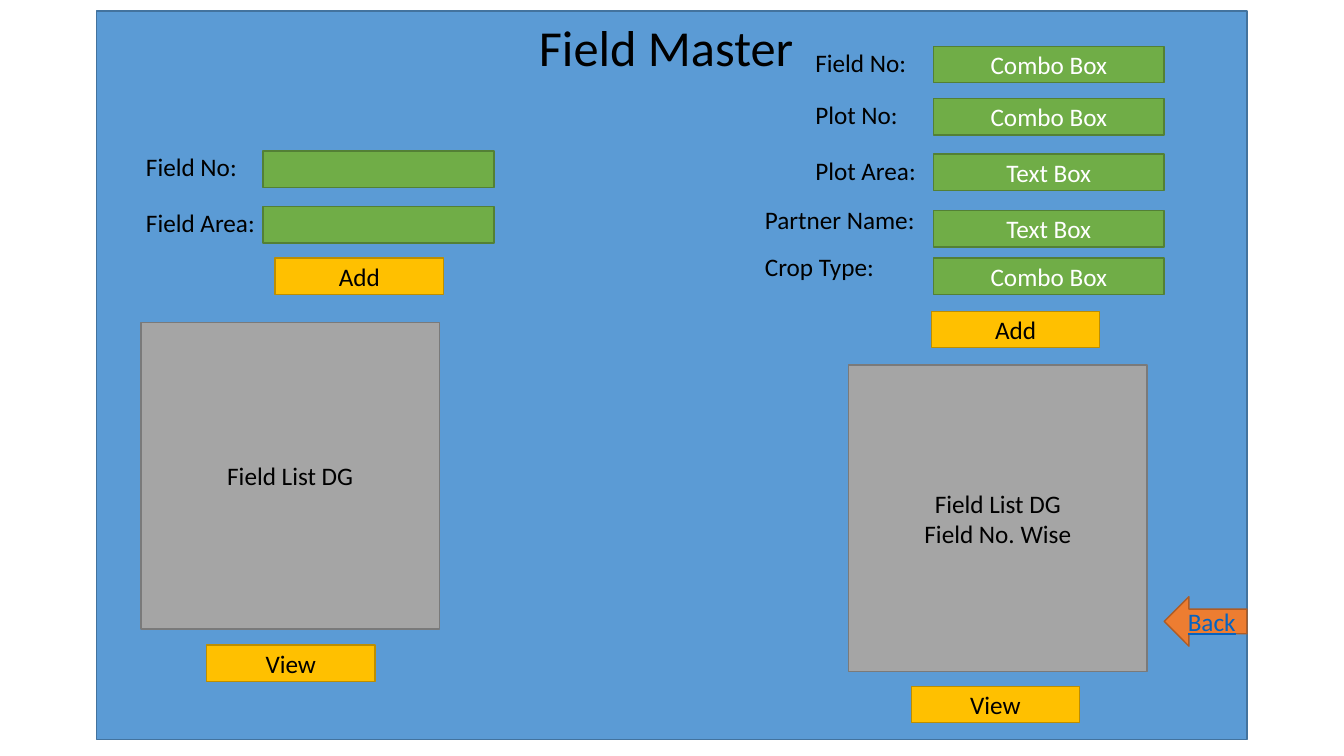
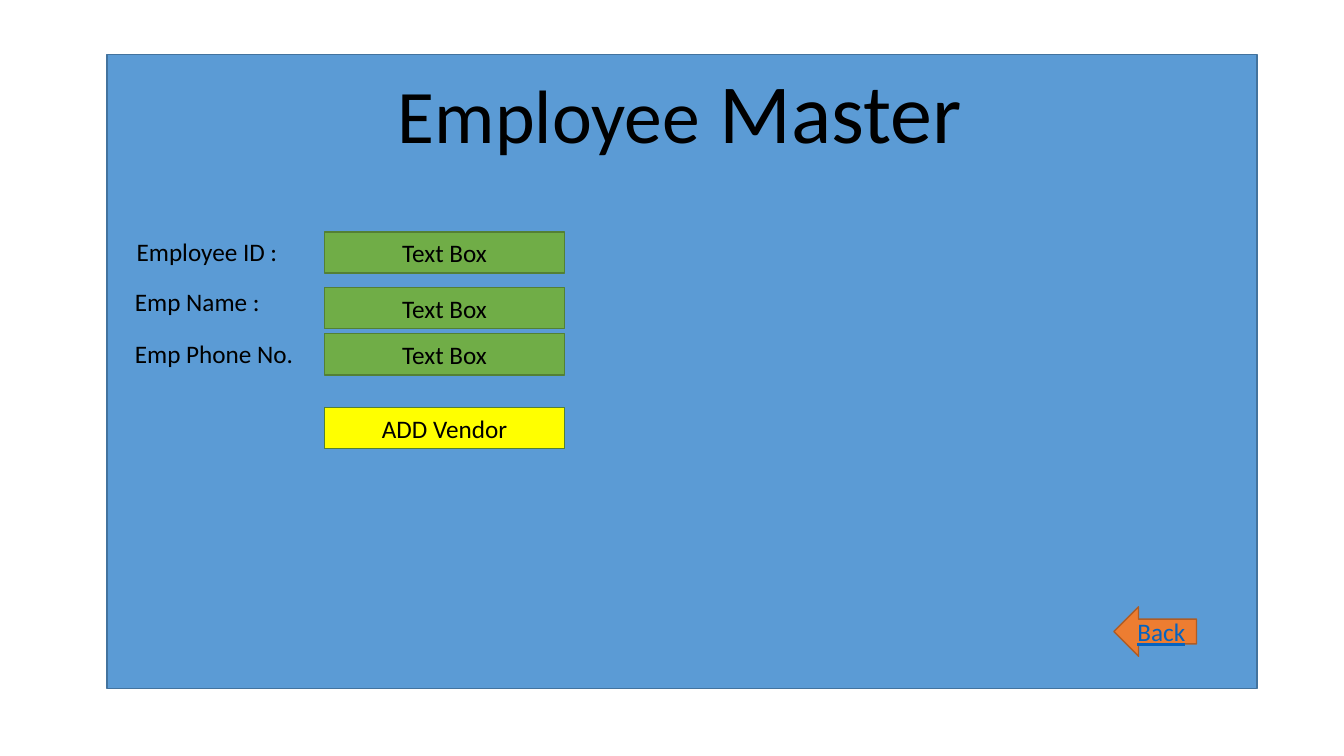
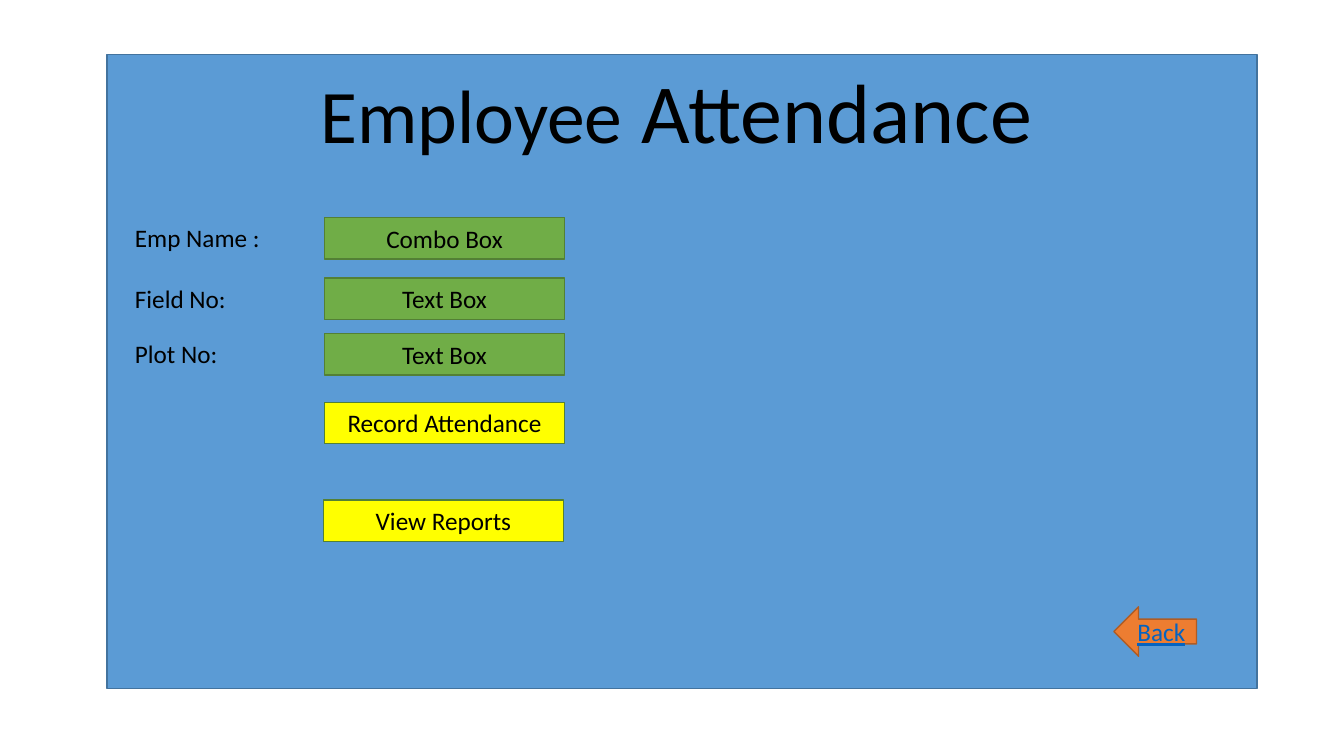
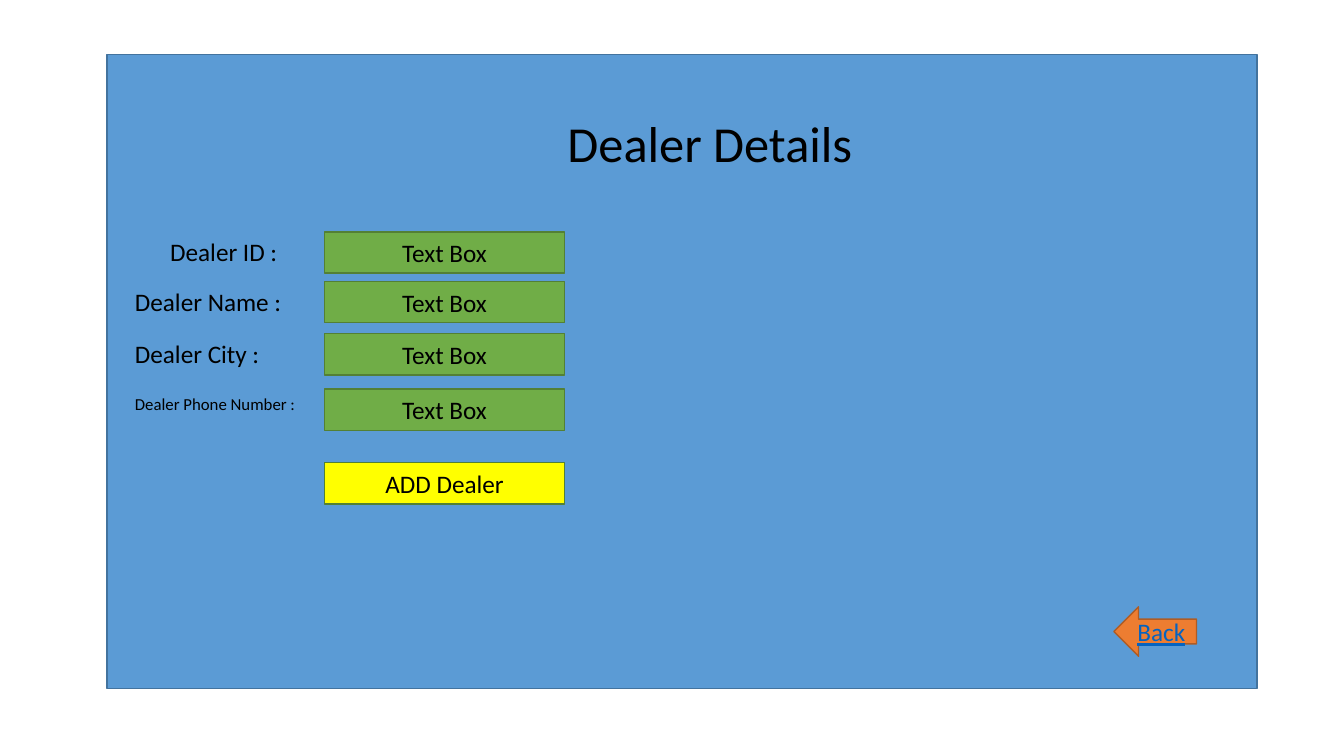
from dataclasses import dataclass

from pptx import Presentation
from pptx.dml.color import RGBColor
from pptx.enum.shapes import MSO_SHAPE
from pptx.enum.text import MSO_ANCHOR, PP_ALIGN
from pptx.presentation import Presentation as Deck
from pptx.slide import Slide
from pptx.text.text import TextFrame
from pptx.util import Pt

RECT, LEFT_ARROW = MSO_SHAPE.RECTANGLE, MSO_SHAPE.LEFT_ARROW
LEFT, CENTER, RIGHT = PP_ALIGN.LEFT, PP_ALIGN.CENTER, PP_ALIGN.RIGHT
MIDDLE = MSO_ANCHOR.MIDDLE

FONT = "Calibri"
BODY = 18
COLORS = {
    "panel": "5B9BD5", "panel_line": "43739E",
    "field": "70AD47", "field_line": "538035",
    "button": "FFC000", "button_line": "BD8E00",
    "grid": "A5A5A5", "grid_line": "7A7A7A",
    "arrow": "ED7D31", "arrow_line": "AF5C24",
    "action": "FFFF00", "text": "000000", "light": "FFFFFF", "link": "0563C1",
}


@dataclass(frozen=True)
class Box:
    x: float
    y: float
    w: float
    h: float


@dataclass(frozen=True)
class Run:
    text: str
    size: float = BODY
    color: str = "text"
    underline: bool = False


@dataclass(frozen=True)
class Style:
    fill: str
    line: str


@dataclass(frozen=True)
class Row:
    label: str
    y: float
    value: str
    field_y: float
    x: float
    size: float = BODY
    align: PP_ALIGN = LEFT


@dataclass(frozen=True)
class Action:
    text: str
    y: float
    x: float = 231.84


@dataclass(frozen=True)
class Form:
    title: Box
    title_runs: list[Run]
    title_align: PP_ALIGN
    rows: list[Row]
    actions: list[Action]


PANEL = Style("panel", "panel_line")
FIELD = Style("field", "field_line")
BUTTON = Style("button", "button_line")
GRID = Style("grid", "grid_line")
ARROW = Style("arrow", "arrow_line")
ACTION = Style("action", "field_line")

FORM_X, ID_X = 89.28, 76.32
FORM_TOP = 38.88

MASTER_LEFT = [
    Row("Field No:", 104.4, "", 108, 97.2),
    Row("Field Area:", 144.72, "", 147.6, 97.2),
]
MASTER_RIGHT = [
    Row("Field No:", 30.24, "Combo Box", 33.12, 575.28),
    Row("Plot No:", 67.68, "Combo Box", 70.56, 575.28),
    Row("Plot Area:", 107.28, "Text Box", 110.16, 575.28),
    Row("Partner Name:", 142.56, "Text Box", 150.48, 539.28),
    Row("Crop Type:", 175.68, "Combo Box", 184.32, 539.28),
]
MASTER_BUTTONS = [
    Action("Add", 184.32, 196.56),
    Action("Add", 222.48, 665.28),
    Action("View", 460.8, 147.6),
    Action("View", 490.32, 650.88),
]

FORMS = [
    Form(
        Box(277.2, FORM_TOP, 489.6, 79.92),
        [Run("Employee", 54), Run(" Master", 60)],
        LEFT,
        [
            Row("Employee ID :", 165.6, "Text Box", 165.6, ID_X, align=RIGHT),
            Row("Emp Name :", 200.88, "Text Box", 205.2, FORM_X),
            Row("Emp Phone No.", 238.32, "Text Box", 238.32, FORM_X),
        ],
        [Action("ADD Vendor", 290.88)],
    ),
    Form(
        Box(221.76, FORM_TOP, 540, 79.92),
        [Run("Employee", 54), Run(" Attendance", 60)],
        LEFT,
        [
            Row("Emp Name :", 155.52, "Combo Box", 155.52, FORM_X),
            Row("Field No:", 198.72, "Text Box", 198.72, FORM_X),
            Row("Plot No:", 238.32, "Text Box", 238.32, FORM_X),
        ],
        [Action("Record Attendance", 287.28), Action("View Reports", 357.12, 231.12)],
    ),
    Form(
        Box(206.64, 76.32, 609.12, 51.12),
        [Run("Dealer Details ", 36)],
        CENTER,
        [
            Row("Dealer ID :", 165.6, "Text Box", 165.6, ID_X, align=RIGHT),
            Row("Dealer Name :", 200.88, "Text Box", 200.88, FORM_X),
            Row("Dealer City :", 238.32, "Text Box", 238.32, FORM_X),
            Row("Dealer Phone Number :", 277.92, "Text Box", 277.92, FORM_X, 12),
        ],
        [Action("ADD Dealer", 330.48)],
    ),
]


def rgb(name: str) -> RGBColor:
    return RGBColor.from_string(COLORS[name])


def write(tf: TextFrame, lines: list[list[Run]], align: PP_ALIGN) -> None:
    tf.word_wrap = True
    for i, runs in enumerate(lines):
        p = tf.add_paragraph() if i else tf.paragraphs[0]
        p.alignment = align
        for run in runs:
            r = p.add_run()
            r.text = run.text
            r.font.name = FONT
            r.font.size = Pt(run.size)
            r.font.color.rgb = rgb(run.color)
            if run.underline:
                r.font.underline = True


def add_text(s: Slide, box: Box, runs: list[Run], align: PP_ALIGN) -> None:
    tb = s.shapes.add_textbox(Pt(box.x), Pt(box.y), Pt(box.w), Pt(box.h))
    write(tb.text_frame, [runs], align)


def add_block(s: Slide, box: Box, style: Style, *runs: Run, kind: MSO_SHAPE = RECT) -> None:
    sp = s.shapes.add_shape(kind, Pt(box.x), Pt(box.y), Pt(box.w), Pt(box.h))
    sp.shadow.inherit = False
    sp.fill.solid()
    sp.fill.fore_color.rgb = rgb(style.fill)
    sp.line.color.rgb = rgb(style.line)
    sp.line.width = Pt(1)
    if runs:
        tf = sp.text_frame
        tf.vertical_anchor = MIDDLE
        write(tf, [[run] for run in runs], CENTER)


def add_row(s: Slide, row: Row, label_w: float, field: Box, color: str) -> None:
    add_text(s, Box(row.x, row.y, label_w, 28.8), [Run(row.label, row.size)], row.align)
    runs = [Run(row.value, color=color)] if row.value else []
    add_block(s, Box(field.x, row.field_y, field.w, field.h), FIELD, *runs)


def add_page(prs: Deck, panel: Box, title: Box, runs: list[Run], align: PP_ALIGN) -> Slide:
    s = prs.slides.add_slide(prs.slide_layouts[6])
    add_block(s, panel, PANEL)
    add_text(s, title, runs, align)
    return s


def add_back(s: Slide, x: float, y: float) -> None:
    back = Run("Back", color="link", underline=True)
    add_block(s, Box(x, y, 59.04, 35.28), ARROW, back, kind=LEFT_ARROW)


def add_field_master(prs: Deck) -> None:
    s = add_page(prs, Box(69.12, 7.92, 821.52, 520.56),
                 Box(365.04, 7.92, 229.68, 51.12), [Run("Field Master ", 36)], CENTER)
    for rows, field_x in ((MASTER_LEFT, 187.92), (MASTER_RIGHT, 666.72)):
        for row in rows:
            add_row(s, row, 136.8, Box(field_x, 0, 164.88, 25.92), "light")
    for button in MASTER_BUTTONS:
        add_block(s, Box(button.x, button.y, 120.24, 25.92), BUTTON, Run(button.text))
    add_block(s, Box(100.8, 230.4, 213.12, 218.88), GRID, Run("Field List DG"))
    add_block(s, Box(606.24, 260.64, 213.12, 218.88), GRID,
              Run("Field List DG"), Run("Field No. Wise"))
    add_back(s, 831.6, 426.24)


def add_form(prs: Deck, form: Form) -> None:
    s = add_page(prs, Box(76.32, FORM_TOP, 821.52, 452.88),
                 form.title, form.title_runs, form.title_align)
    field = Box(231.84, 0, 171.36, 29.52)
    for row in form.rows:
        add_row(s, row, 128.88, field, "text")
    for action in form.actions:
        add_block(s, Box(action.x, action.y, field.w, field.h), ACTION, Run(action.text))
    add_back(s, 795.6, 433.44)


def main() -> None:
    prs = Presentation()
    prs.slide_width, prs.slide_height = Pt(960), Pt(540)
    add_field_master(prs)
    for form in FORMS:
        add_form(prs, form)
    prs.save("out.pptx")


if __name__ == "__main__":
    main()
